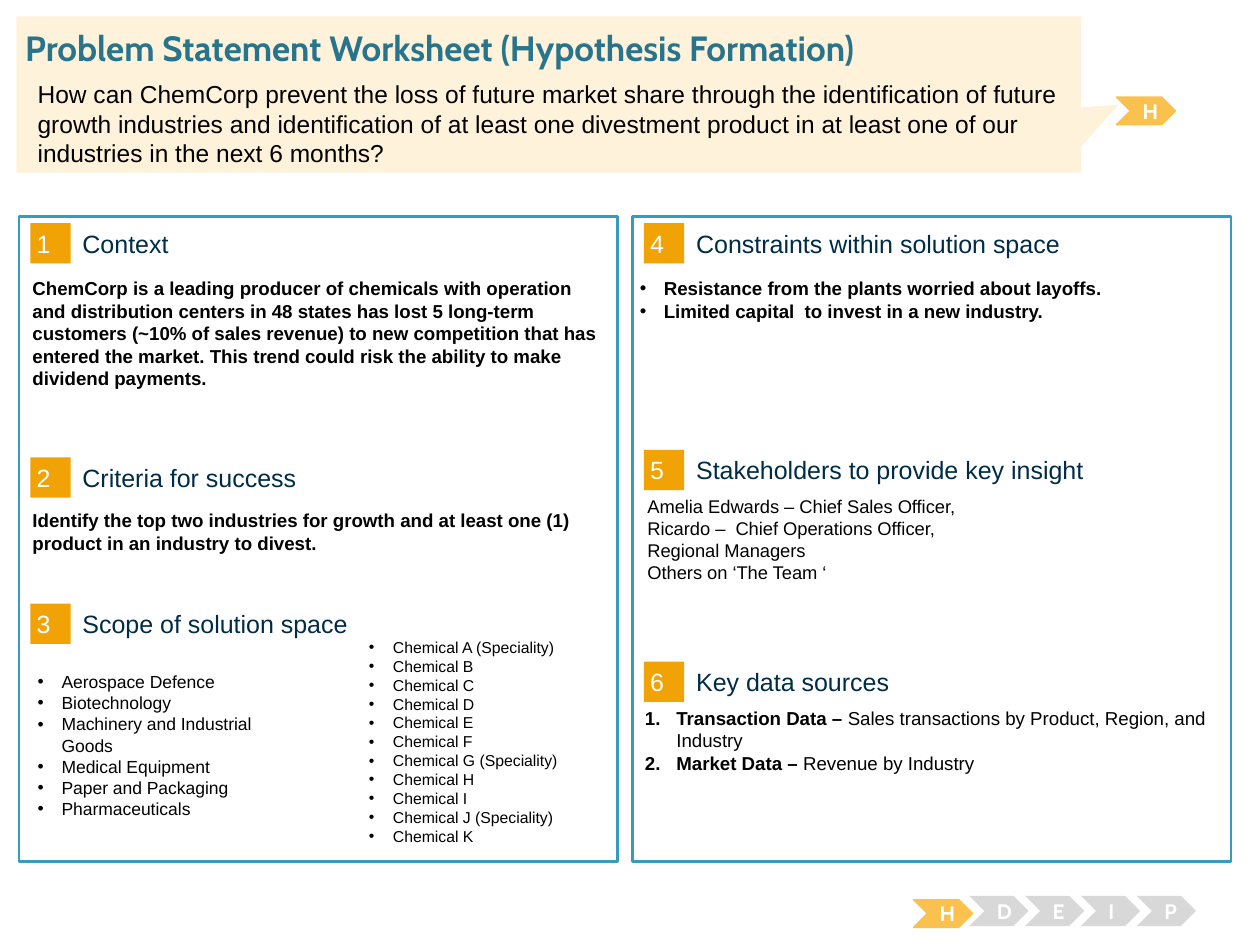
from collections import namedtuple
from dataclasses import dataclass

from lxml import etree
from pptx import Presentation
from pptx import util as u
from pptx.dml.color import RGBColor
from pptx.enum import shapes, text
from pptx.oxml.ns import qn

# The slide is a grid of 100 columns by 75 rows with square cells.
COLUMNS, ROWS = 100, 75
CELL = u.Inches(0.1)
Box = namedtuple("Box", "left top width height")


@dataclass(frozen=True)
class Theme:
    sans: str = "Arial"
    display: str = "Cabin"
    white: str = "FFFFFF"
    black: str = "000000"
    title: str = "29748D"
    heading: str = "002C46"
    panel_line: str = "379BBD"
    badge: str = "F1A205"
    active: str = "FBC14E"
    inactive: str = "D8D8D8"
    callout: str = "FEF2DA"
    title_size: float = 20
    heading_size: float = 14.3
    question_size: float = 14
    tag_size: float = 12
    body_size: float = 10.7
    people_size: float = 10.5
    industry_size: float = 10
    chemical_size: float = 9


THEME = Theme()
NO_INSETS = (0, 0, 0, 0)
BADGE_INSETS = (0.5, 0.5, 0.5, 0.5)
TEXT_INSETS = (1, 0.5, 1, 0.5)

CONTEXT = (
    "ChemCorp is a leading producer of chemicals with operation and distribution "
    "centers in 48 states has lost 5 long-term customers (~10% of sales revenue) to "
    "new competition that has entered the market. This trend could risk the ability "
    "to make dividend payments."
)
CRITERIA = (
    "Identify the top two industries for growth and at least one (1) product in an "
    "industry to divest."
)
QUESTION = (
    "How can ChemCorp prevent the loss of future market share through the "
    "identification of future growth industries and identification of at least one "
    "divestment product in at least one of our industries in the next 6 months?"
)
INDUSTRIES = [
    "Aerospace Defence", "Biotechnology", "Machinery and Industrial Goods",
    "Medical Equipment", "Paper and Packaging", "Pharmaceuticals",
]
SPECIALITIES = "AGJ"
CHEMICALS = [
    f"Chemical {letter}" + (" (Speciality)" if letter in SPECIALITIES else "")
    for letter in "ABCDEFGHIJK"
]
CONSTRAINTS = [
    "Resistance from the plants worried about layoffs.",
    "Limited capital  to invest in a new industry.",
]
SOURCES = [
    [("Transaction Data – ", True),
     ("Sales transactions by Product, Region, and Industry", False)],
    [("Market Data – ", True), ("Revenue by Industry", False)],
]
PEOPLE = [
    "Amelia Edwards – Chief Sales Officer,", "Ricardo –  Chief Operations Officer,",
    "Regional Managers", "Others on ‘The Team ‘",
]


def cells(count):
    return round(count * CELL)


def inside(box, left, top, width, height):
    """Box whose offsets are counted from the corner of another box."""
    return Box(box.left + left, box.top + top, width, height)


def add_marker(paragraph, marker, indent):
    """Hanging bullet, or automatic numbering when the marker is "1."."""
    properties = paragraph._p.get_or_add_pPr()
    properties.set("marL", str(cells(indent)))
    properties.set("indent", str(-cells(indent)))
    color = etree.SubElement(properties, qn("a:buClr"))
    etree.SubElement(color, qn("a:srgbClr"), val=THEME.black)
    etree.SubElement(properties, qn("a:buFont"), typeface=THEME.sans)
    if marker == "1.":
        etree.SubElement(properties, qn("a:buAutoNum"), type="arabicPeriod")
    else:
        etree.SubElement(properties, qn("a:buChar"), char=marker)


def write(shape, paragraphs, size, color=THEME.black, font=THEME.sans, bold=False,
          align=text.PP_ALIGN.LEFT, anchor=text.MSO_ANCHOR.TOP, insets=TEXT_INSETS,
          marker=None, indent=1.9):
    """Fill a shape; a paragraph is a string or a list of (words, bold) runs."""
    frame = shape.text_frame
    left, top, right, bottom = map(cells, insets)
    frame_format = {
        "word_wrap": True, "auto_size": text.MSO_AUTO_SIZE.NONE,
        "vertical_anchor": anchor, "margin_left": left, "margin_top": top,
        "margin_right": right, "margin_bottom": bottom,
    }
    for name, value in frame_format.items():
        setattr(frame, name, value)
    for index, content in enumerate(paragraphs):
        paragraph = frame.add_paragraph() if index else frame.paragraphs[0]
        paragraph.alignment = align
        if marker:
            add_marker(paragraph, marker, indent)
        runs = [(content, bold)] if isinstance(content, str) else content
        for words, run_bold in runs:
            run = paragraph.add_run()
            run.text = words
            run_format = {"name": font, "size": u.Pt(size), "bold": run_bold}
            for name, value in run_format.items():
                setattr(run.font, name, value)
            run.font.color.rgb = RGBColor.from_string(color)


def add_text(slide, box, paragraphs, size, **style):
    write(slide.shapes.add_textbox(*map(cells, box)), paragraphs, size, **style)


def add_block(slide, kind, box, fill, line=None, line_width=0.75):
    shape = slide.shapes.add_shape(kind, *map(cells, box))
    shape.shadow.inherit = False
    shape.fill.solid()
    shape.fill.fore_color.rgb = RGBColor.from_string(fill)
    if line:
        shape.line.color.rgb = RGBColor.from_string(line)
        shape.line.width = u.Pt(line_width)
    else:
        shape.line.fill.background()
    return shape


def add_heading(slide, box, number, heading):
    style = {"anchor": text.MSO_ANCHOR.MIDDLE}
    badge = add_block(slide, shapes.MSO_SHAPE.RECTANGLE, inside(box, 0, 0, 3.2, 3.2),
                      THEME.badge)
    write(badge, [str(number)], THEME.heading_size, color=THEME.white,
          insets=BADGE_INSETS, **style)
    add_text(slide, inside(box, 4.15, 0.35, 39.3, 2.5), [heading], THEME.heading_size,
             color=THEME.heading, insets=NO_INSETS, **style)


def add_panel(slide, box, first_number, headings):
    add_block(slide, shapes.MSO_SHAPE.RECTANGLE, box, THEME.white, THEME.panel_line, 1.5)
    for number, (top, heading) in enumerate(headings, first_number):
        add_heading(slide, inside(box, 0.9, top, box.width, 3.2), number, heading)


def add_left_panel(slide, box):
    add_panel(slide, box, 1, [(0.5, "Context"), (19.1, "Criteria for success"),
                              (30.7, "Scope of solution space")])
    add_text(slide, inside(box, 0.1, 4.3, 47.3, 13.6), [CONTEXT], THEME.body_size, bold=True)
    add_text(slide, inside(box, 0.1, 22.7, 47.3, 12.2), [CRITERIA], THEME.body_size, bold=True)
    add_text(slide, inside(box, 0.5, 35.6, 22.8, 14.7), INDUSTRIES, THEME.industry_size,
             marker="•")
    add_text(slide, inside(box, 26.8, 32.9, 22.8, 21), CHEMICALS, THEME.chemical_size,
             marker="•")


def add_right_panel(slide, box):
    add_panel(slide, box, 4, [(0.5, "Constraints within solution space"),
                              (18.5, "Stakeholders to provide key insight"),
                              (35.3, "Key data sources")])
    add_text(slide, inside(box, -0.4, 4.3, 47.3, 11.8), CONSTRAINTS, THEME.body_size,
             bold=True, marker="•")
    add_text(slide, inside(box, 0.2, 21.6, 47.3, 11.8), PEOPLE, THEME.people_size)
    add_text(slide, inside(box, 0, 38.4, 47.3, 11.8), SOURCES, THEME.body_size,
             marker="1.", indent=2.5)


def add_stage(slide, box, letter, active):
    fill = THEME.active if active else THEME.inactive
    chevron = add_block(slide, shapes.MSO_SHAPE.CHEVRON, box, fill, fill if active else None)
    write(chevron, [letter], THEME.tag_size, color=THEME.white, font=THEME.display,
          bold=True, align=text.PP_ALIGN.CENTER, anchor=text.MSO_ANCHOR.MIDDLE)


def add_stage_tracker(slide, box, stages="HDEIP", step=4.43):
    add_stage(slide, inside(box, 0, 0.3, 4.7, 2.2), stages[0], True)
    for index, letter in enumerate(stages[1:], 1):
        add_stage(slide, inside(box, index * step, 0, 4.7, 2.4), letter, False)


def add_header(slide, box):
    add_stage(slide, inside(box, 87.3, 6.4, 4.7, 2.2), "H", True)
    callout = add_block(slide, shapes.MSO_SHAPE.RECTANGULAR_CALLOUT, box, THEME.callout)
    callout.adjustments[0], callout.adjustments[1] = 0.535, 0.066
    title = slide.shapes.title
    place = inside(box, 0.7, 0.8, 96.2, 3.4)
    for name, value in place._asdict().items():
        setattr(title, name, cells(value))
    write(title, ["Problem Statement Worksheet (Hypothesis Formation)"], THEME.title_size,
          color=THEME.title, font=THEME.display, bold=True, insets=NO_INSETS)
    callout.element.addnext(title.element)
    add_text(slide, inside(box, 0.7, 4.5, 84.2, 7.8), [QUESTION], THEME.question_size)


def main():
    presentation = Presentation()
    presentation.slide_width = cells(COLUMNS)
    presentation.slide_height = cells(ROWS)
    slide = presentation.slides.add_slide(presentation.slide_layouts.get_by_name("Title Only"))
    add_right_panel(slide, Box(50.2, 17.2, 47.5, 51.2))
    add_left_panel(slide, Box(1.5, 17.2, 47.5, 51.2))
    add_stage_tracker(slide, Box(72.5, 71.1, 22.4, 2.5))
    add_header(slide, Box(1.3, 1.3, 84.5, 12.4))
    presentation.save("out.pptx")


if __name__ == "__main__":
    main()
